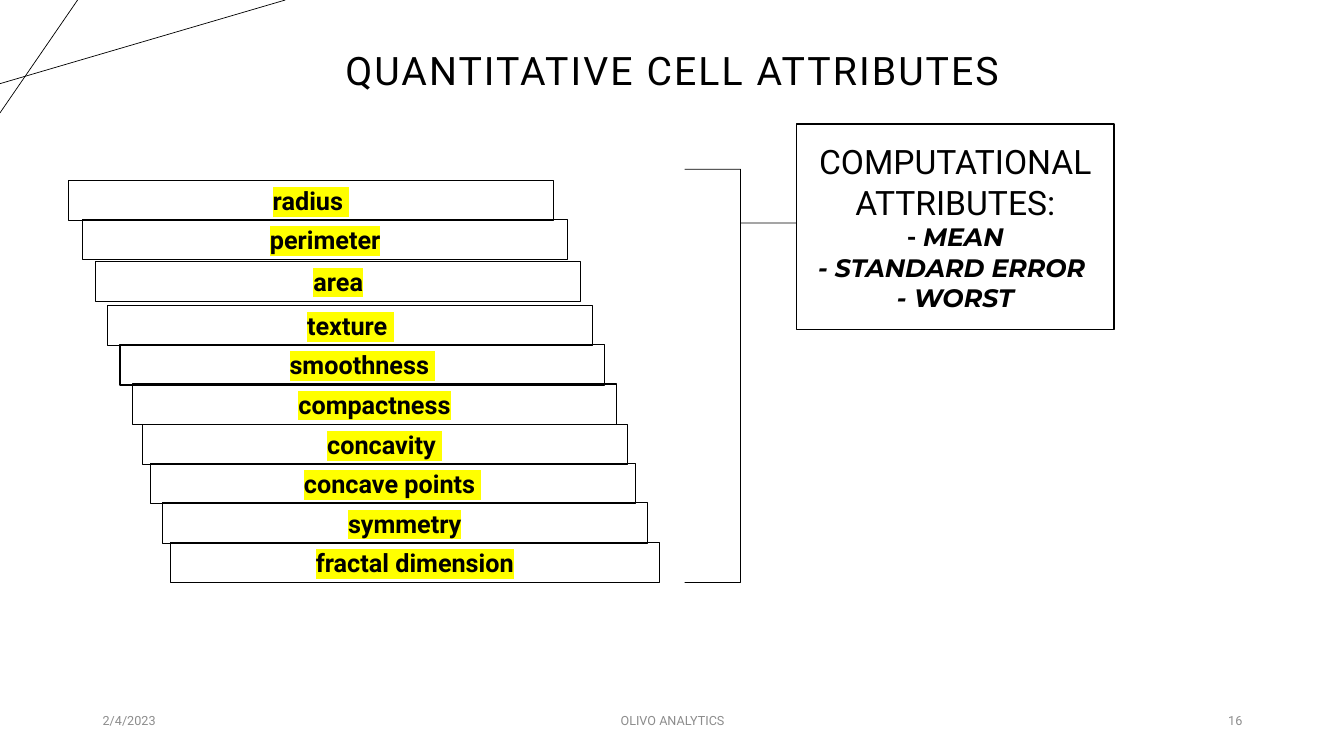
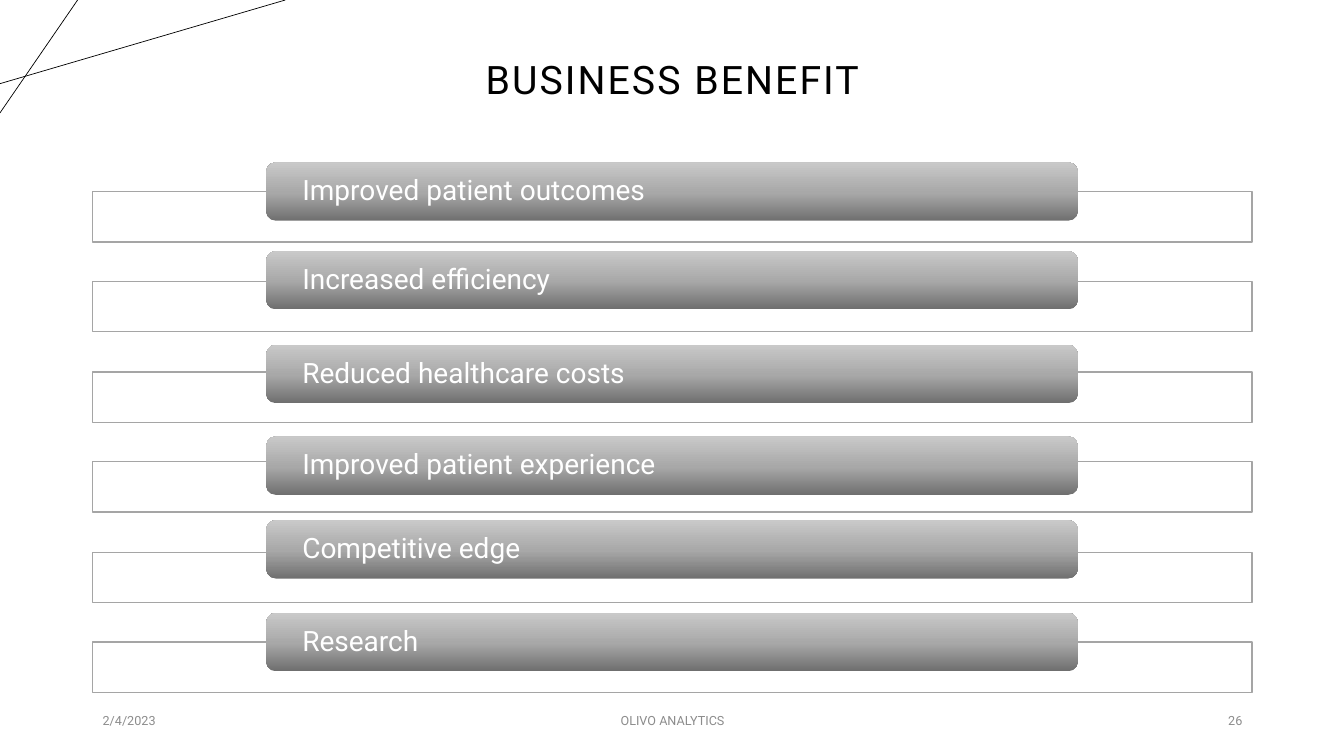
from copy import deepcopy

from lxml.etree import SubElement
from pptx import Presentation
from pptx.dml.color import RGBColor
from pptx.enum.shapes import MSO_CONNECTOR, MSO_SHAPE
from pptx.enum.text import MSO_ANCHOR, MSO_AUTO_SIZE, PP_ALIGN
from pptx.oxml.ns import qn
from pptx.util import Pt

PX = 9144  # 100 px to the inch
COLORS = {
    "ink": "000000",
    "paper": "FFFFFF",
    "footer": "8C8C8C",
    "frame": "A5A5A5",
    "highlight": "FFFF00",
    "bar_dark": "6F6F6F",
    "bar_mid": "A8A8A8",
    "bar_light": "C9C9C9",
}
RGB = {name: RGBColor.from_string(value) for name, value in COLORS.items()}
CORNER_LINES = [(0, 83, 283, 0), (77, 0, 0, 112)]


def add_run(paragraph, text, size, color="ink", font="Roboto", bold=False, italic=False):
    run = paragraph.add_run()
    run.text = text
    run.font.size = Pt(size)
    run.font.name = font
    run.font.bold = bold
    run.font.italic = italic
    run.font.color.rgb = RGB[color]
    return run


def start_slide(heading, top, height, page):
    """Add a slide with the shared corner lines, title and footer."""
    slide = deck.slides.add_slide(deck.slide_layouts[5])
    for ends in CORNER_LINES:
        corner = slide.shapes.add_connector(MSO_CONNECTOR.STRAIGHT, *(v * PX for v in ends))
        corner.line.color.rgb = RGB["ink"]
        corner.line.width = Pt(0.5)
        SubElement(corner._element.spPr, qn("a:effectLst"))

    title = slide.shapes.title
    title.left, title.top, title.width, title.height = (v * PX for v in (92, top, 1150, height))
    title.text_frame.auto_size = MSO_AUTO_SIZE.NONE
    title.text_frame.vertical_anchor = MSO_ANCHOR.MIDDLE
    paragraph = title.text_frame.paragraphs[0]
    paragraph.alignment = PP_ALIGN.CENTER
    paragraph.line_spacing = 0.9
    add_run(paragraph, heading, 28).font._element.set("spc", "150")

    for text, left, width, alignment in [
        ("2/4/2023", 92, 300, PP_ALIGN.LEFT),
        ("OLIVO ANALYTICS", 442, 450, PP_ALIGN.CENTER),
        (page, 942, 300, PP_ALIGN.RIGHT),
    ]:
        footer = slide.shapes.add_textbox(left * PX, 695 * PX, width * PX, 40 * PX).text_frame
        footer.word_wrap = True
        footer.vertical_anchor = MSO_ANCHOR.MIDDLE
        footer.paragraphs[0].alignment = alignment
        add_run(footer.paragraphs[0], text, 9, "footer")
    return slide


deck = Presentation()
deck.slide_width, deck.slide_height = 1333 * PX, 750 * PX

# Cell attributes
slide = start_slide("QUANTITATIVE CELL ATTRIBUTES", 46, 53, "16")
for attribute, left, top, width in [
    ("radius ", 68, 179, 481),
    ("perimeter", 82, 218, 481),
    ("area", 95, 259, 481),
    ("texture ", 107, 303, 481),
    ("smoothness ", 119, 342, 481),
    ("compactness", 131, 381, 481),
    ("concavity ", 141, 421, 481),
    ("concave points ", 149, 460, 481),
    ("symmetry", 161, 499, 481),
    ("fractal dimension", 169, 538, 485),
]:
    step = slide.shapes.add_shape(MSO_SHAPE.RECTANGLE, left * PX, top * PX, width * PX, 40 * PX)
    step.shadow.inherit = False
    step.fill.background()
    step.line.color.rgb = RGB["ink"]
    step.line.width = Pt(0.75)
    step.text_frame.vertical_anchor = MSO_ANCHOR.TOP
    paragraph = step.text_frame.paragraphs[0]
    paragraph.alignment = PP_ALIGN.CENTER
    properties = add_run(paragraph, attribute, 18, bold=True).font._element
    highlight = SubElement(properties, qn("a:highlight"))
    SubElement(highlight, qn("a:srgbClr"), val=COLORS["highlight"])
    properties.find(qn("a:solidFill")).addnext(highlight)

summary = slide.shapes.add_shape(MSO_SHAPE.RECTANGLE, 790 * PX, 123 * PX, 315 * PX, 204 * PX)
summary.shadow.inherit = False
summary.fill.solid()
summary.fill.fore_color.rgb = RGB["paper"]
summary.line.color.rgb = RGB["ink"]
summary.line.width = Pt(1)
summary.text_frame.vertical_anchor = MSO_ANCHOR.MIDDLE
paragraph = summary.text_frame.paragraphs[0]
paragraph.alignment = PP_ALIGN.CENTER
add_run(paragraph, "COMPUTATIONAL ATTRIBUTES:", 24)
for dash, measure in [("- ", "MEAN"), ("", "- STANDARD ERROR "), ("", "- WORST")]:
    paragraph = summary.text_frame.add_paragraph()
    paragraph.alignment = PP_ALIGN.CENTER
    if dash:
        add_run(paragraph, dash, 18, bold=True)
    add_run(paragraph, measure, 18, font="Montserrat", bold=True, italic=True)

brace = slide.shapes.add_shape(MSO_SHAPE.RIGHT_BRACE, 679 * PX, 168 * PX, 111 * PX, 410 * PX)
brace.adjustments[0] = 0
brace.adjustments[1] = 0.13
brace.shadow.inherit = False
brace.fill.background()
brace.line.color.rgb = RGB["ink"]
brace.line.width = Pt(0.5)

# Business benefits
slide = start_slide("BUSINESS BENEFIT", 38, 86, "26")
for row, (benefit, top) in enumerate([
    ("Improved patient outcomes", 161),
    ("Increased efficiency", 249),
    ("Reduced healthcare costs", 342),
    ("Improved patient experience", 433),
    ("Competitive edge", 516),
    ("Research", 608),
]):
    frame_top = 190 + round(row * 89.4)
    frame = slide.shapes.add_shape(MSO_SHAPE.RECTANGLE, 92 * PX, frame_top * PX, 1150 * PX, 50 * PX)
    frame.shadow.inherit = False
    frame.fill.solid()
    frame.fill.fore_color.rgb = RGB["paper"]
    fill_color = frame._element.spPr.find(qn("a:solidFill")).find(qn("a:srgbClr"))
    SubElement(fill_color, qn("a:alpha"), val="90000")
    frame.line.color.rgb = RGB["frame"]
    frame.line.width = Pt(1)

    bar = slide.shapes.add_shape(MSO_SHAPE.ROUNDED_RECTANGLE, 264 * PX, top * PX, 805 * PX, 58 * PX)
    bar.shadow.inherit = False
    bar.line.fill.background()
    bar.fill.gradient()
    bar.fill.gradient_angle = 90
    stop_list = bar._element.spPr.find(qn("a:gradFill")).find(qn("a:gsLst"))
    stop_list.append(deepcopy(stop_list[0]))
    shades = [(0, "bar_dark"), (0.48, "bar_mid"), (1, "bar_light")]
    for stop, (position, shade) in zip(bar.fill.gradient_stops, shades):
        stop.position = position
        stop.color.rgb = RGB[shade]
    label = bar.text_frame
    label.margin_left = label.margin_right = 33 * PX
    label.margin_top = label.margin_bottom = 0
    label.vertical_anchor = MSO_ANCHOR.MIDDLE
    label.paragraphs[0].alignment = PP_ALIGN.LEFT
    label.paragraphs[0].line_spacing = 0.9
    add_run(label.paragraphs[0], benefit, 20, "paper")

deck.save("out.pptx")
